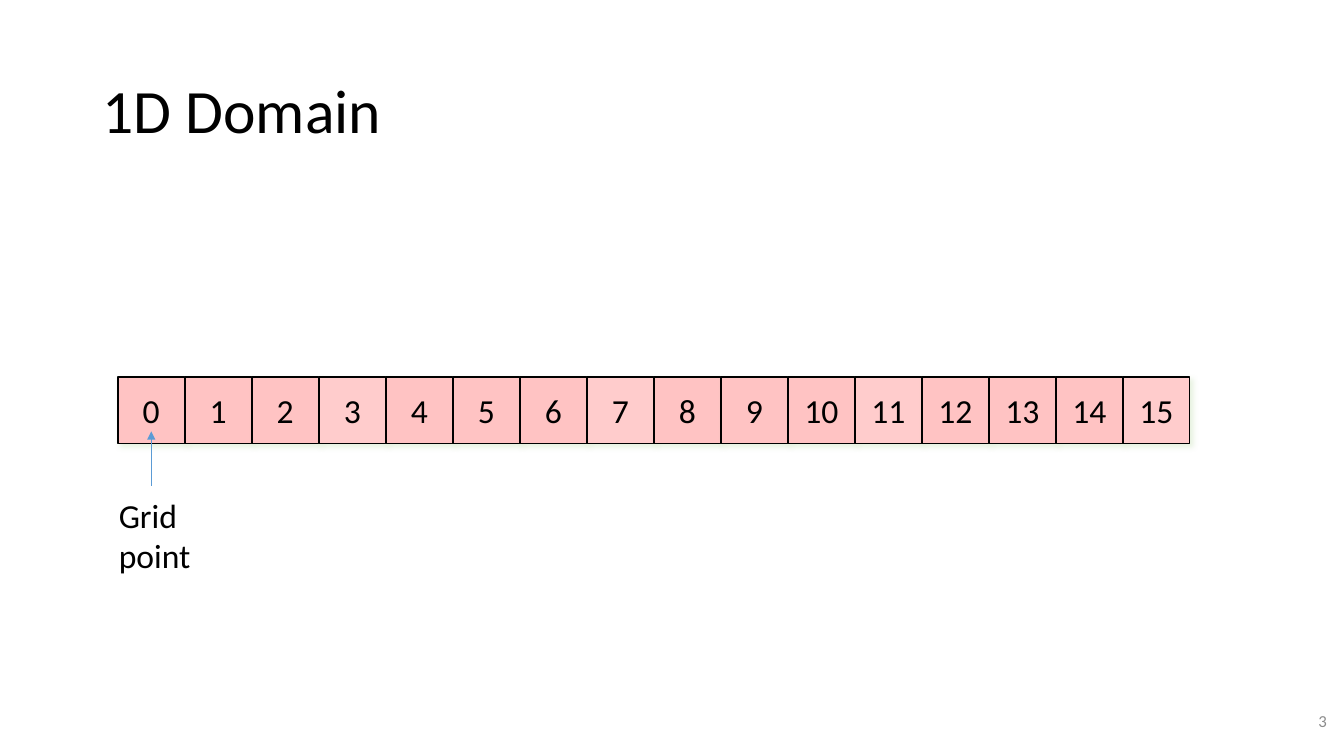
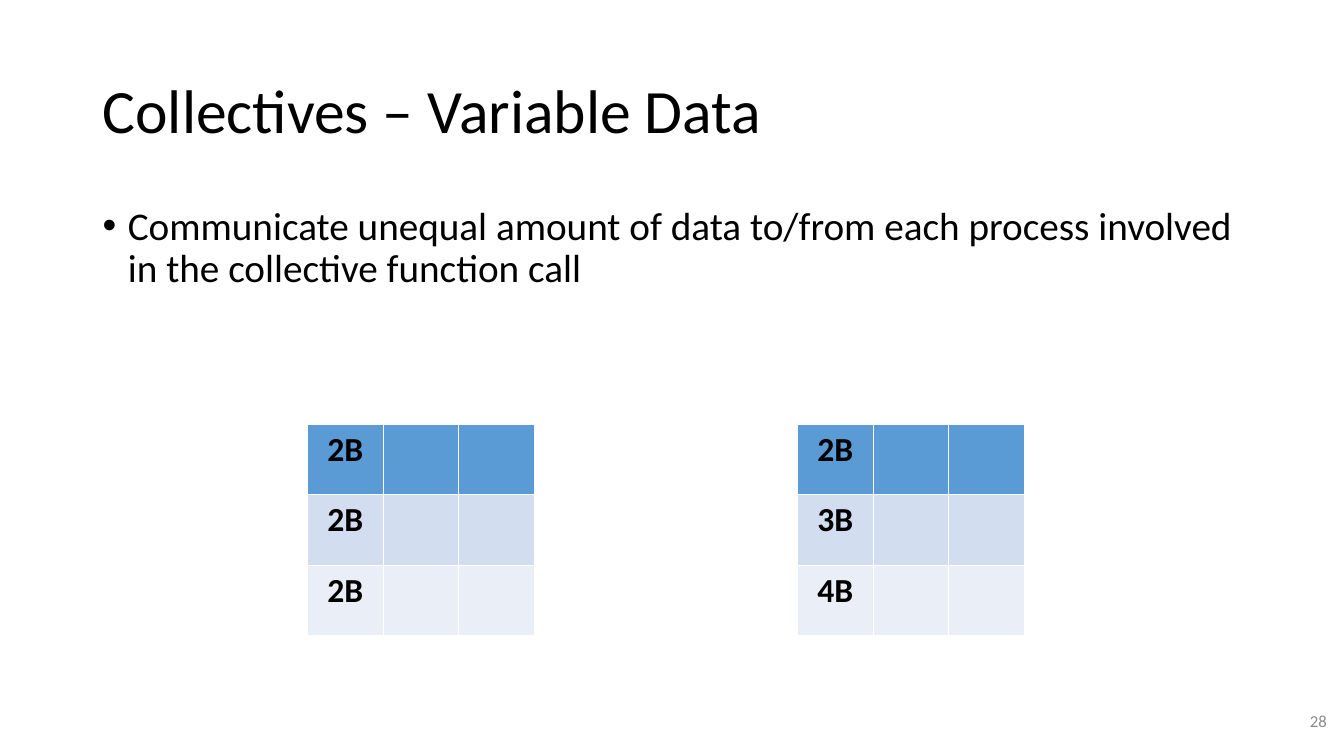
from lxml import etree
from pptx import Presentation
from pptx.dml.color import RGBColor
from pptx.enum.shapes import MSO_CONNECTOR, MSO_SHAPE
from pptx.enum.text import MSO_ANCHOR, PP_ALIGN
from pptx.oxml.ns import qn
from pptx.util import Inches, Pt

RECT, STRAIGHT = MSO_SHAPE.RECTANGLE, MSO_CONNECTOR.STRAIGHT
TOP, MIDDLE = MSO_ANCHOR.TOP, MSO_ANCHOR.MIDDLE
LEFT, CENTER, RIGHT = PP_ALIGN.LEFT, PP_ALIGN.CENTER, PP_ALIGN.RIGHT


def rgb(color):
    return RGBColor.from_string(color)


def add_xml(parent, tag, **attrs):
    return etree.SubElement(parent, qn(tag), {k: str(v) for k, v in attrs.items()})


class Deck:
    FONT = "Calibri"
    TEXT, MUTED, BLUE = "000000", "8C8C8C", "5B9BD5"
    PINK, LIGHT_PINK, SHADOW = "FFC3C3", "FFCCCC", "C5E0B4"
    ROW_FILLS = (BLUE, "D2DEEF", "EAEFF7")

    def __init__(self):
        self.prs = Presentation()
        self.prs.slide_width, self.prs.slide_height = Inches(13.33), Inches(7.5)

    def add_slide(self, title, number):
        self.slide = self.prs.slides.add_slide(self.prs.slide_layouts[6])
        p = self.text(title, 0.92, 0.4, 11.5, 1.45, size=44, anchor=MIDDLE)
        p.line_spacing = 0.9
        self.text(str(number), 10.26, 6.95, 3, 0.4, size=12, color=self.MUTED,
                  align=RIGHT, anchor=MIDDLE)

    def set_text(self, tf, text, size=24, color=TEXT, align=LEFT, bold=False):
        tf.text = text
        p = tf.paragraphs[0]
        p.alignment = align
        for r in p.runs:
            r.font.name, r.font.size, r.font.bold = self.FONT, Pt(size), bold
            r.font.color.rgb = rgb(color)
        return p

    def text(self, text, x, y, w, h, anchor=TOP, **style):
        box = self.slide.shapes.add_textbox(Inches(x), Inches(y), Inches(w), Inches(h))
        tf = box.text_frame
        tf.word_wrap, tf.vertical_anchor = True, anchor
        return self.set_text(tf, text, **style)

    def bullet(self, text, x, y, w, h):
        p = self.text(text, x, y, w, h, size=28)
        p.line_spacing, p.space_before = 0.9, Pt(10)
        pPr = p._p.get_or_add_pPr()
        pPr.set("marL", str(Inches(0.25)))
        pPr.set("indent", str(Inches(-0.25)))
        add_xml(pPr, "a:buFont", typeface="Arial")
        add_xml(pPr, "a:buChar", char="•")

    def square(self, text, x, y, side, fill):
        sp = self.slide.shapes.add_shape(RECT, Inches(x), Inches(y), Inches(side), Inches(side))
        sp.fill.solid()
        sp.fill.fore_color.rgb = rgb(fill)
        sp.line.color.rgb, sp.line.width = rgb(self.TEXT), Pt(1)
        # Soft shadow towards the lower right
        sp.shadow.inherit = False
        effects = sp._element.spPr.find(qn("a:effectLst"))
        shadow = add_xml(effects, "a:outerShdw", blurRad=Pt(4), dist=Pt(3),
                         dir=45 * 60000, algn="tl", rotWithShape=0)
        add_xml(add_xml(shadow, "a:srgbClr", val=self.SHADOW), "a:alpha", val=40000)
        tf = sp.text_frame
        tf.word_wrap, tf.vertical_anchor = False, MIDDLE
        self.set_text(tf, text, align=CENTER)

    def arrow(self, x1, y1, x2, y2):
        line = self.slide.shapes.add_connector(STRAIGHT, Inches(x1), Inches(y1),
                                               Inches(x2), Inches(y2))
        line.line.color.rgb, line.line.width = rgb(self.BLUE), Pt(0.5)
        spPr = line._element.spPr
        add_xml(spPr.find(qn("a:ln")), "a:tailEnd", type="triangle")
        add_xml(spPr, "a:effectLst")

    def table(self, labels, x, y, cols=3, col_w=0.75, row_h=0.7):
        frame = self.slide.shapes.add_table(len(labels), cols, Inches(x), Inches(y),
                                            Inches(cols * col_w), Inches(len(labels) * row_h))
        table = frame.table
        for row, label, fill in zip(table.rows, labels, self.ROW_FILLS):
            for cell in row.cells:
                cell.fill.solid()
                cell.fill.fore_color.rgb = rgb(fill)
            self.set_text(row.cells[0].text_frame, label, align=CENTER, bold=True)


def main():
    deck = Deck()

    # Row of grid points, every fourth one lighter
    deck.add_slide("1D Domain", 3)
    count, first, last = 16, 1.17, 11.14
    pitch = (last - first) / (count - 1)
    for i in range(count):
        fill = deck.LIGHT_PINK if i % 4 == 3 else deck.PINK
        deck.square(str(i), first + i * pitch, 3.74, 0.66, fill)
    deck.arrow(1.5, 4.82, 1.5, 4.28)
    deck.text("Grid point", 1.08, 4.86, 1.21, 0.91)

    # Equal and unequal amounts side by side
    deck.add_slide("Collectives – Variable Data", 28)
    deck.bullet("Communicate unequal amount of data to/from each process involved "
                "in the collective function call", 0.92, 2, 11.5, 4.76)
    deck.table(("2B", "2B", "2B"), 3.05, 4.21)
    deck.table(("2B", "3B", "4B"), 7.91, 4.21)

    deck.prs.save("out.pptx")


if __name__ == "__main__":
    main()
